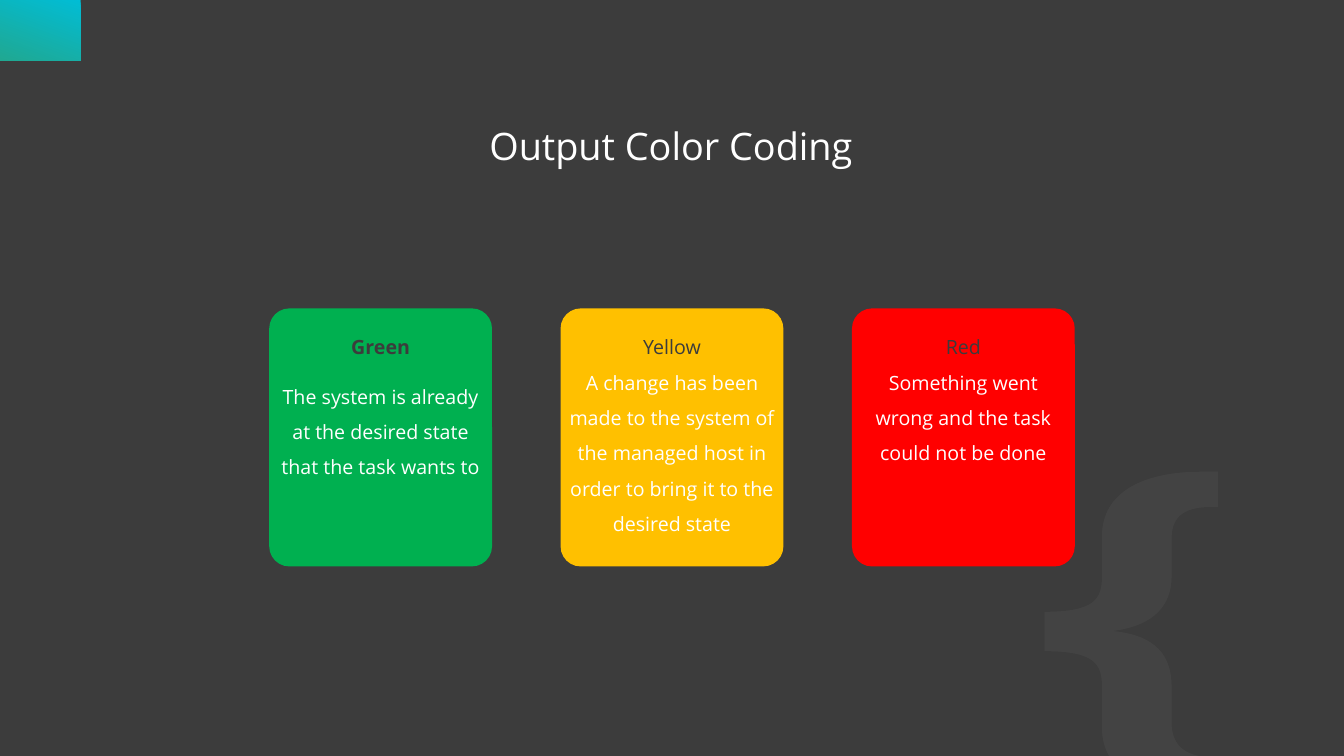
from lxml.etree import SubElement
from pptx import Presentation
from pptx.dml.color import RGBColor
from pptx.enum.shapes import MSO_SHAPE
from pptx.enum.text import MSO_ANCHOR, PP_ALIGN
from pptx.oxml.ns import qn
from pptx.util import Inches, Pt

FONT = "Open Sans"
COLORS = {
    "background": "3C3C3C",
    "white": "FFFFFF",
    "cyan": "01BDD5",
    "teal": "20A892",
    "green": "00B050",
    "yellow": "FFC000",
    "red": "FF0000",
}
TITLE = "Output Color Coding"
CARDS = [
    {"color": "green", "heading": "Green", "split": True, "text_height": 1.52,
     "body": "The system is already at the desired state that the task wants to"},
    {"color": "yellow", "heading": "Yellow", "split": False, "text_height": 2.08,
     "body": "A change has been made to the system of the managed host "
             "in order to bring it to the desired state"},
    {"color": "red", "heading": "Red", "split": False, "text_height": 1.38,
     "body": "Something went wrong and the task could not be done"},
]
BRACE_LEFT, BRACE_TOP = 10.36, 4.68
BRACE_START = (10.36, 6.07)
BRACE_STEPS = [
    [(10.86, 6.07), (10.93, 5.94), (10.93, 5.72)],
    [(10.93, 5.32)],
    [(10.93, 4.87), (11.36, 4.68), (11.91, 4.68)],
    [(12.08, 4.68)],
    [(12.08, 5.03)],
    [(12.01, 5.03)],
    [(11.7, 5.03), (11.62, 5.16), (11.62, 5.35)],
    [(11.62, 5.72)],
    [(11.62, 6), (11.45, 6.21), (11.03, 6.26)],
    [(11.47, 6.3), (11.62, 6.51), (11.62, 6.81)],
    [(11.62, 7.17)],
    [(11.62, 7.37), (11.73, 7.51), (12.02, 7.51)],
    [(12.08, 7.51)],
    [(12.08, 7.86)],
    [(11.91, 7.86)],
    [(11.42, 7.86), (10.93, 7.7), (10.93, 7.22)],
    [(10.93, 6.81)],
    [(10.93, 6.59), (10.86, 6.46), (10.36, 6.46)],
]
UNITS_PER_INCH = 100

SLIDE_WIDTH, SLIDE_HEIGHT = 13.33, 7.5
CARD_WIDTH, CARD_HEIGHT, CARD_TOP = 2.21, 2.56, 3.06
CARD_PITCH = 2.89
CARD_LEFT = (SLIDE_WIDTH - CARD_WIDTH - CARD_PITCH * (len(CARDS) - 1)) / 2
TEXT_WIDTH, TEXT_TOP = 2.05, 3.21


def color(name):
    return RGBColor.from_string(COLORS[name])


def box(left, top, width, height):
    return [Inches(length) for length in (left, top, width, height)]


def units(length):
    return round(length * UNITS_PER_INCH)


def add_brace(slide):
    builder = slide.shapes.build_freeform(
        *map(units, BRACE_START), scale=Inches(1) / UNITS_PER_INCH)
    corners = [(units(x), units(y)) for x, y in (step[-1] for step in BRACE_STEPS)]
    builder.add_line_segments(corners, close=False)
    builder.add_line_segments([], close=True)
    brace = builder.convert_to_shape()
    brace.shadow.inherit = False
    brace.fill.solid()
    brace.fill.fore_color.rgb = color("white")
    brace.line.fill.background()
    properties = brace.element.spPr
    SubElement(next(properties.iter(qn("a:srgbClr"))), qn("a:alpha"), val="4000")

    lines = list(properties.iter(qn("a:lnTo")))
    for line, step in zip(lines, BRACE_STEPS):
        if len(step) == 3:
            curve = SubElement(line.getparent(), qn("a:cubicBezTo"))
            for x, y in step:
                SubElement(curve, qn("a:pt"),
                           x=str(units(x) - units(BRACE_LEFT)),
                           y=str(units(y) - units(BRACE_TOP)))
            line.getparent().replace(line, curve)


def add_corner(slide):
    corner = slide.shapes.add_shape(MSO_SHAPE.RECTANGLE, *box(0, 0, 0.8, 0.6))
    corner.shadow.inherit = False
    corner.line.fill.background()
    corner.fill.gradient()
    corner.fill.gradient_angle = 250
    for stop, name, position in zip(corner.fill.gradient_stops, ("cyan", "teal"), (0, 1)):
        stop.color.rgb = color(name)
        stop.position = position


def add_text_frame(slide, bounds, margin):
    frame = slide.shapes.add_textbox(*bounds).text_frame
    frame.word_wrap = True
    frame.margin_left = frame.margin_right = Inches(margin)
    frame.margin_top = frame.margin_bottom = Inches(margin)
    return frame


def style_paragraph(paragraph, size, spacing):
    paragraph.alignment = PP_ALIGN.CENTER
    paragraph.line_spacing = spacing
    paragraph.font.name = FONT
    paragraph.font.size = Pt(size)


def add_run(paragraph, text, name):
    run = paragraph.add_run()
    run.text = text
    run.font.color.rgb = color(name)


def add_title(slide):
    frame = add_text_frame(slide, box(2.08, 1.25, 9.15, 0.45), 0.15)
    frame.vertical_anchor = MSO_ANCHOR.MIDDLE
    paragraph = frame.paragraphs[0]
    style_paragraph(paragraph, 27, 0.9)
    add_run(paragraph, TITLE, "white")


def add_card(slide, card, left):
    shape = slide.shapes.add_shape(
        MSO_SHAPE.ROUNDED_RECTANGLE, *box(left, CARD_TOP, CARD_WIDTH, CARD_HEIGHT))
    shape.adjustments[0] = 0.09
    shape.shadow.inherit = False
    shape.fill.solid()
    shape.fill.fore_color.rgb = color(card["color"])
    shape.line.fill.background()

    text_left = left + (CARD_WIDTH - TEXT_WIDTH) / 2
    frame = add_text_frame(
        slide, box(text_left, TEXT_TOP, TEXT_WIDTH, card["text_height"]), 0)
    heading = body = frame.paragraphs[0]
    add_run(heading, card["heading"], "background")
    if card["split"]:
        heading.font.bold = True
        body = frame.add_paragraph()
    else:
        heading.add_line_break()
    add_run(body, card["body"], "white")
    for paragraph in frame.paragraphs:
        style_paragraph(paragraph, 14, 1.5)
        paragraph.space_after = Pt(10)


def main():
    presentation = Presentation()
    presentation.slide_width = Inches(SLIDE_WIDTH)
    presentation.slide_height = Inches(SLIDE_HEIGHT)
    slide = presentation.slides.add_slide(presentation.slide_layouts[6])
    slide.background.fill.solid()
    slide.background.fill.fore_color.rgb = color("background")
    add_brace(slide)
    add_corner(slide)
    add_title(slide)
    for column, card in enumerate(CARDS):
        add_card(slide, card, CARD_LEFT + column * CARD_PITCH)
    presentation.save("out.pptx")


if __name__ == "__main__":
    main()
